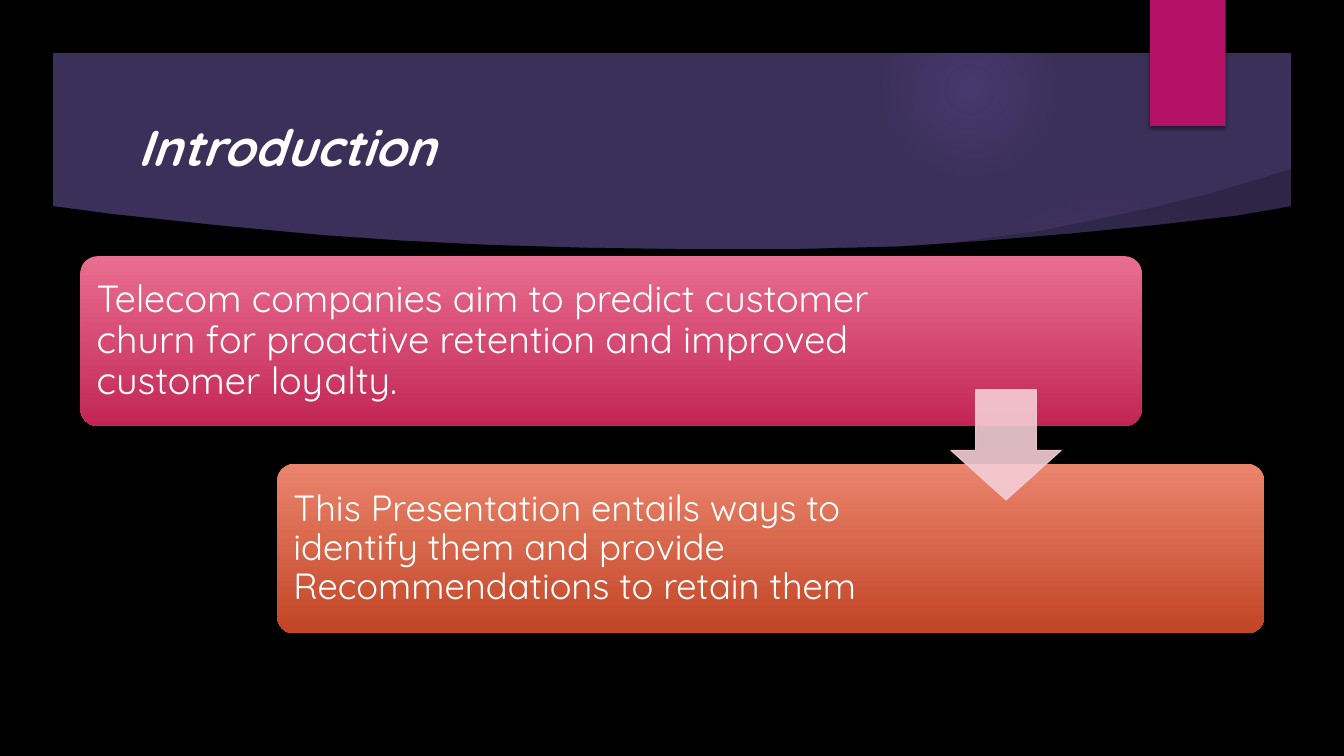
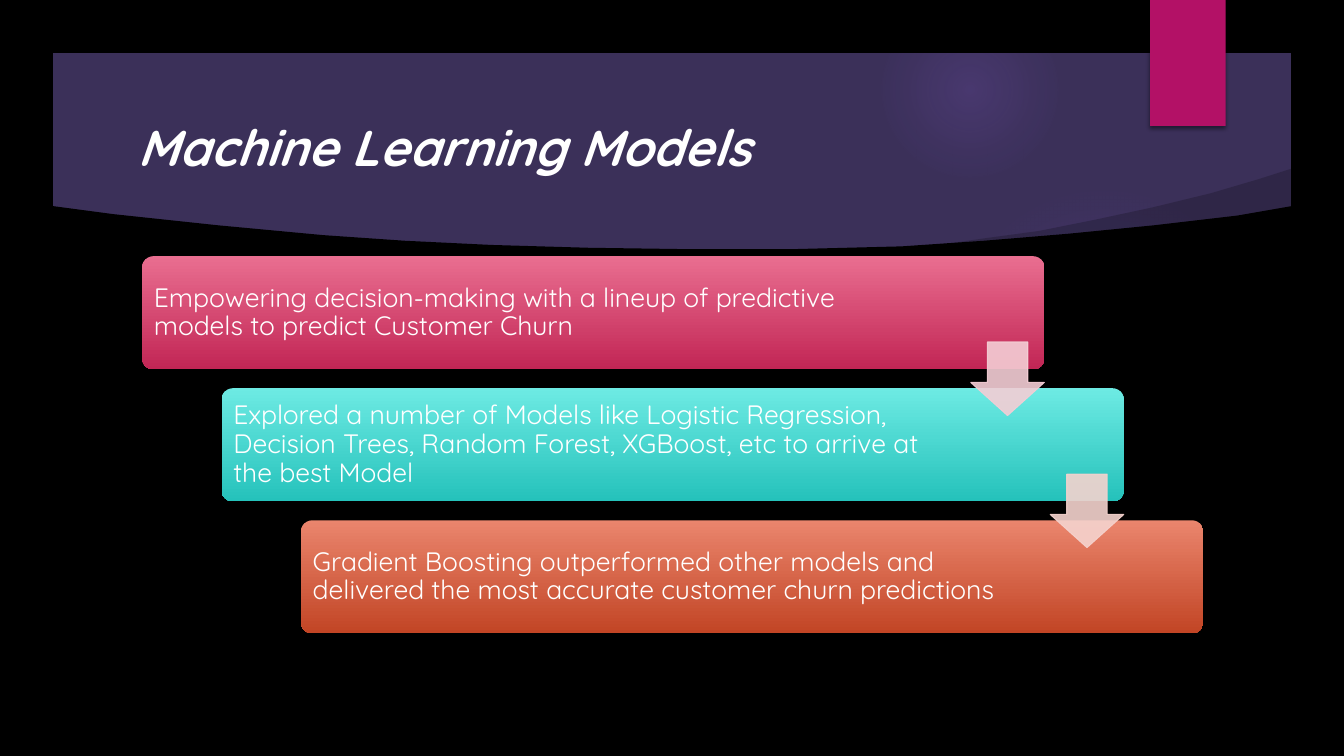
from pptx import Presentation
from pptx import util as u
from pptx.dml import color
from pptx.enum import shapes, text
from pptx.oxml import parse_xml
from pptx.oxml.ns import nsdecls, qn

Pt = u.Pt
KIND = shapes.MSO_SHAPE
FONT = "Quicksand"
PLUM, BLACK, WHITE = "3B3059", "000000", "FFFFFF"
VIOLET, MAGENTA = "9B6BF2", "B31166"
ROSE = ("E96E90", "C22655")
TEAL = ("6DEAE3", "25C2BB")
RUST = ("EA856D", "C24525")
BLUSH, PEACH = "F4CED5", "F5D3CE"

# Lower edge of the title band, and upper edge of the sheen (points)
CURVE = [(36, 147), (81, 153), (156, 161), (231, 168), (289, 171.5),
         (351, 175), (420, 177), (491, 178.5), (566, 178), (644, 175.5),
         (703, 172), (763, 167), (824, 161), (884, 153.5), (924, 147)]
SHEEN = [(670, 175), (705, 170.5), (742, 165), (782, 157), (824, 148),
         (865, 137.5), (899, 128), (924, 119.5)]


def rgb(code):
    return color.RGBColor.from_string(code)


def solid(fill, code):
    fill.solid()
    fill.fore_color.rgb = rgb(code)


def plain(shape, code):
    """Flat fill, no outline, no shadow."""
    solid(shape.fill, code)
    shape.line.fill.background()
    shape.shadow.inherit = False
    return shape


def add(slide, kind, box, code):
    return plain(slide.shapes.add_shape(kind, *map(Pt, box)), code)


def trace(slide, dots, code):
    pen = slide.shapes.build_freeform(*dots[0], scale=Pt(1))
    pen.add_line_segments(dots[1:], close=True)
    return plain(pen.convert_to_shape(), code)


def fade(shape, part):
    """Make fill and line colours partly opaque (percent)."""
    for tint in shape.element.spPr.iter(qn("a:srgbClr")):
        tint.append(parse_xml(
            f'<a:alpha {nsdecls("a")} val="{part * 1000}"/>'))


def shade(shape):
    """Soft shadow straight below."""
    shape.element.spPr.find(qn("a:effectLst")).append(parse_xml(
        f'<a:outerShdw {nsdecls("a")} blurRad="{Pt(3)}" dist="{Pt(2)}" '
        f'dir="5400000" rotWithShape="0"><a:srgbClr val="{BLACK}">'
        '<a:alpha val="45000"/></a:srgbClr></a:outerShdw>'))


def glow(slide, box, stops):
    """Round light that fades outwards."""
    orb = add(slide, KIND.OVAL, box, VIOLET)
    marks = "".join(
        f'<a:gs pos="{pos * 1000}"><a:srgbClr val="{VIOLET}">'
        f'<a:alpha val="{part * 1000}"/></a:srgbClr></a:gs>'
        for pos, part in stops)
    props = orb.element.spPr
    props.replace(props.find(qn("a:solidFill")), parse_xml(
        f'<a:gradFill {nsdecls("a")} rotWithShape="1">'
        f'<a:gsLst>{marks}</a:gsLst><a:path path="circle">'
        '<a:fillToRect l="50000" t="50000" r="50000" b="50000"/>'
        '</a:path></a:gradFill>'))
    return orb


def decor(slide, layout):
    """Draw the shared band and frame, then hand them to the layout."""
    parts = [
        glow(slide, (677.5, 132, 222, 222), [(0, 7), (36, 6), (69, 0)]),
        glow(slide, (630, 1, 126, 126), [(0, 14), (36, 7), (73, 0)])]
    sheen = trace(slide, SHEEN + [(928, 154), (672, 180)], BLACK)
    fade(sheen, 20)
    floor = trace(slide, CURVE + [(924, 504), (36, 504)], BLACK)
    frame = add(slide, KIND.FRAME, (0, 0, 960, 540), BLACK)
    frame.adjustments[0] = 0.07
    tag = add(slide, KIND.RECTANGLE, (821.5, 0, 54, 90), MAGENTA)
    shade(tag)
    for part in parts + [sheen, floor, frame, tag]:
        layout.shapes.element.append(part.element)


def setup(prs):
    """Backdrop and title place that all slides share."""
    solid(prs.slide_master.background.fill, PLUM)
    layout = prs.slide_layouts.get_by_name("Title Only")
    for hold in list(layout.placeholders):
        if hold.placeholder_format.type != shapes.PP_PLACEHOLDER.TITLE:
            hold.element.getparent().remove(hold.element)
            continue
        hold.left, hold.top, hold.width, hold.height = map(
            Pt, (91, 76.5, 690, 55.5))
    return layout


def style(shape, words, size):
    """Left-aligned white text, centred in height."""
    frame = shape.text_frame
    frame.text = words
    frame.word_wrap = True
    frame.vertical_anchor = text.MSO_ANCHOR.MIDDLE
    para = frame.paragraphs[0]
    para.alignment = text.PP_ALIGN.LEFT
    font = para.font
    font.name, font.size = FONT, Pt(size)
    font.color.rgb = rgb(WHITE)
    return para


def head(slide, words):
    font = style(slide.shapes.title, words, 36).font
    font.bold = font.italic = True


def card(slide, box, words, size, hues, pad, room):
    """Gradient card; room is kept free at its right for the arrow."""
    shape = add(slide, KIND.ROUNDED_RECTANGLE, box, hues[0])
    shape.adjustments[0] = 0.1
    shape.fill.gradient()
    shape.fill.gradient_angle = 270
    for stop, hue in zip(shape.fill.gradient_stops, hues):
        stop.color.rgb = rgb(hue)
    shade(shape)
    style(shape, words, size).line_spacing = 0.9
    frame = shape.text_frame
    frame.margin_left = frame.margin_top = frame.margin_bottom = Pt(pad)
    frame.margin_right = Pt(room)


def arrow(slide, box, code):
    shape = add(slide, KIND.DOWN_ARROW, box, code)
    shape.adjustments[0], shape.adjustments[1] = 0.55, 0.45
    solid(shape.line.fill, code)
    shape.line.width = Pt(0.75)
    fade(shape, 90)


def stairs(slide, box, cards, tints, pad, pull=0):
    """Cards stepping down to the right, with an arrow in each gap."""
    left, top, width, height = box
    count = len(cards)
    tall = height * 0.9 / count
    pitch = (height - tall) / (count - 1)
    side = tall * 0.65
    ends = []
    for i, (words, size, hues, wide, room) in enumerate(cards):
        x = left + i * (width - wide) / (count - 1)
        card(slide, (x, top + i * pitch, wide, tall),
             words, size, hues, pad, room)
        ends.append(x + wide)
    for i, tint in enumerate(tints):
        mid = top + i * pitch + (tall + pitch) / 2
        arrow(slide, (ends[i] - pull - side, mid - side / 2, side, side),
              tint)


def main():
    prs = Presentation()
    prs.slide_width, prs.slide_height = Pt(960), Pt(540)
    layout = setup(prs)

    # Introduction
    intro = prs.slides.add_slide(layout)
    decor(intro, layout)
    head(intro, "Introduction")
    stairs(intro, (57.5, 183, 845.5, 269.5), [
        ("Telecom companies aim to predict customer churn for proactive "
         "retention and improved customer loyalty.", 27, ROSE, 758, 147),
        ("This Presentation entails ways to identify them and provide "
         "Recommendations to retain them", 26, RUST, 705, 218),
    ], [BLUSH], pad=8, pull=57.5)

    # Machine learning models
    models = prs.slides.add_slide(layout)
    head(models, "Machine Learning Models")
    stairs(models, (101.5, 183, 758, 269.5), [
        ("Empowering decision-making with a lineup of predictive models "
         "to predict Customer Churn", 19, ROSE, 644.5, 88),
        ("Explored a number of Models like Logistic Regression, Decision "
         "Trees, Random Forest, XGBoost, etc to arrive at the best Model",
         19, TEAL, 644.5, 116),
        ("Gradient Boosting outperformed other models and delivered the "
         "most accurate customer churn predictions",
         19, RUST, 644.5, 116),
    ], [BLUSH, PEACH], pad=6)

    prs.save("out.pptx")


if __name__ == "__main__":
    main()
